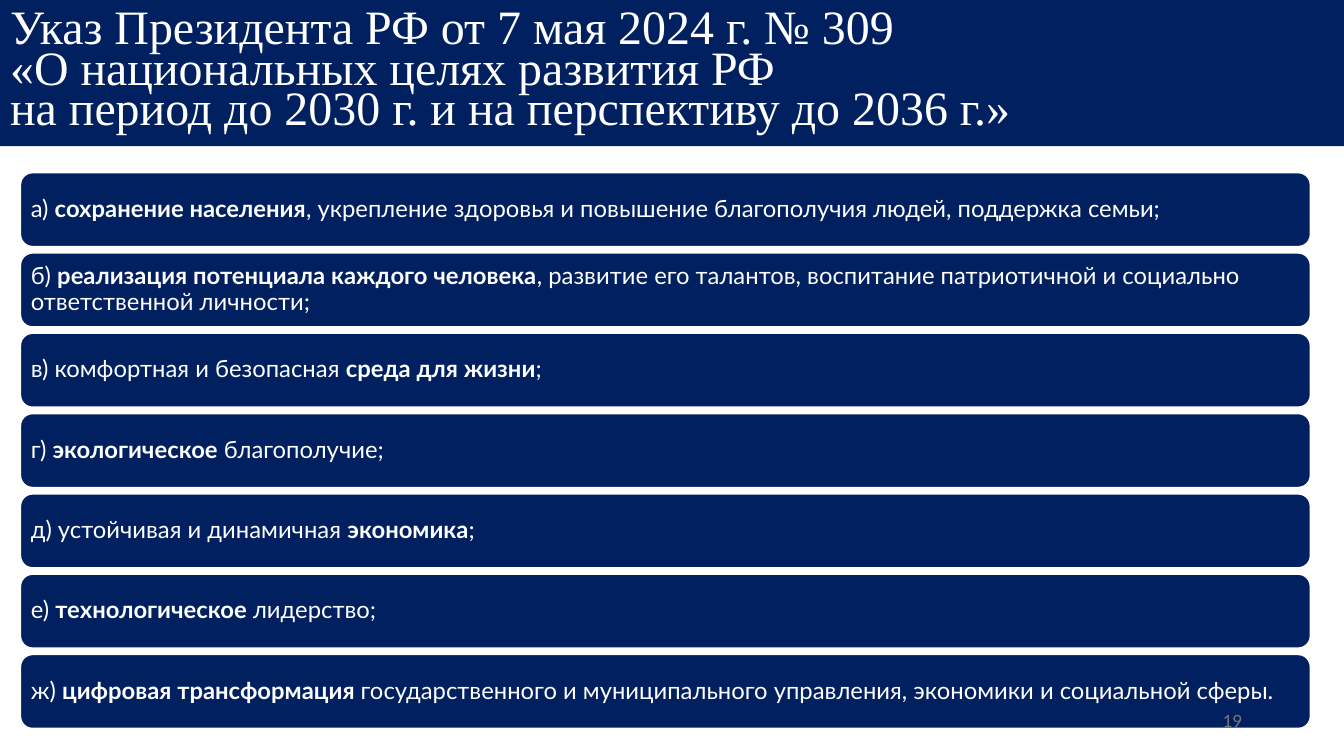
"""Build the slide listing the national development goals of decree No. 309."""
from copy import deepcopy

from pptx import Presentation
from pptx.dml.color import RGBColor
from pptx.enum.shapes import MSO_SHAPE
from pptx.enum.text import MSO_ANCHOR, MSO_AUTO_SIZE, PP_ALIGN
from pptx.util import Inches, Pt

DECREE = (
    "Указ Президента РФ от 7 мая 2024 г. № 309",
    "«О национальных целях развития РФ",
    "на период до 2030 г. и на перспективу до 2036 г.»",
)
GOALS = [
    ("а) ", "сохранение населения",
     ", укрепление здоровья и повышение благополучия людей, поддержка семьи;"),
    ("б) ", "реализация потенциала каждого человека",
     ", развитие его талантов, воспитание патриотичной и социально ответственной личности;"),
    ("в) комфортная и безопасная ", "среда для жизни", ";"),
    ("г) ", "экологическое", " благополучие;"),
    ("д) устойчивая и динамичная ", "экономика", ";"),
    ("е) ", "технологическое", " лидерство;"),
    ("ж) ", "цифровая трансформация ",
     "государственного и муниципального управления, экономики и социальной сферы."),
]
PAGE_NUMBER = "19"

NAVY = RGBColor(0x00, 0x20, 0x60)
WHITE = RGBColor(0xFF, 0xFF, 0xFF)
GREY = RGBColor(0x79, 0x79, 0x79)
ROUNDED = MSO_SHAPE.ROUNDED_RECTANGLE
MIDDLE = MSO_ANCHOR.MIDDLE
NO_FIT = MSO_AUTO_SIZE.NONE
LEFT, RIGHT = PP_ALIGN.LEFT, PP_ALIGN.RIGHT

SLIDE_W, SLIDE_H = 13.33, 7.5
DECREE_H = 1.45
GOAL_X, GOAL_W, GOAL_H = 0.2, 12.8, 0.74
FIRST_GOAL_Y, LAST_GOAL_Y = 1.71, 6.49
GOAL_STEP = (LAST_GOAL_Y - FIRST_GOAL_Y) / (len(GOALS) - 1)

FRAME = {"word_wrap": True, "auto_size": NO_FIT, "vertical_anchor": MIDDLE}
GOAL_FRAME = FRAME | {
    f"margin_{side}": Inches(0.07) for side in ("left", "top", "right", "bottom")
}
DECREE_FONT = {"name": "Times New Roman", "size": Pt(34.2)}
GOAL_FONT = {"name": "Lato", "size": Pt(17)}
PAGE_FONT = {"name": "Lato", "size": Pt(12)}


def apply(target, values):
    """Set every attribute in values on target."""
    for attribute, value in values.items():
        setattr(target, attribute, value)


def style_run(run, font, color, bold=False):
    """Format one run."""
    apply(run.font, font | {"bold": bold})
    run.font.color.rgb = color


def fill_navy(shape):
    """Give a shape the navy fill."""
    shape.fill.solid()
    shape.fill.fore_color.rgb = NAVY


def add_decree(slide):
    """Place the decree name in the title band."""
    decree = slide.shapes.title
    apply(decree, {"left": 0, "top": 0,
                   "width": Inches(SLIDE_W), "height": Inches(DECREE_H)})
    fill_navy(decree)
    apply(decree.text_frame, FRAME)
    paragraph = decree.text_frame.paragraphs[0]
    paragraph.text = "\v".join(DECREE)
    apply(paragraph, {"alignment": LEFT, "line_spacing": 0.7})
    for run in paragraph.runs:
        style_run(run, DECREE_FONT, WHITE)
    for line_break in paragraph._p.br_lst if hasattr(paragraph._p, "br_lst") else \
            paragraph._p.xpath("a:br"):
        line_break.insert(0, deepcopy(paragraph.runs[0]._r.rPr))


def add_goal(slide, index, parts):
    """Draw one goal bar whose middle part is bold."""
    goal = slide.shapes.add_shape(
        ROUNDED, Inches(GOAL_X), Inches(FIRST_GOAL_Y + index * GOAL_STEP),
        Inches(GOAL_W), Inches(GOAL_H))
    goal.shadow.inherit = False
    fill_navy(goal)
    goal.line.color.rgb = WHITE
    goal.line.width = Pt(1.5)
    apply(goal.text_frame, GOAL_FRAME)
    paragraph = goal.text_frame.paragraphs[0]
    apply(paragraph, {"alignment": LEFT, "line_spacing": 0.9})
    for text, bold in zip(parts, (False, True, False)):
        run = paragraph.add_run()
        run.text = text
        style_run(run, GOAL_FONT, WHITE, bold)


def add_page_number(slide):
    """Write the page number at the lower right."""
    page = slide.shapes.add_textbox(Inches(9.42), Inches(6.95), Inches(3), Inches(0.4))
    apply(page.text_frame, FRAME)
    paragraph = page.text_frame.paragraphs[0]
    paragraph.alignment = RIGHT
    run = paragraph.add_run()
    run.text = PAGE_NUMBER
    style_run(run, PAGE_FONT, GREY)


def main():
    """Assemble and save the slide."""
    deck = Presentation()
    apply(deck, {"slide_width": Inches(SLIDE_W), "slide_height": Inches(SLIDE_H)})
    slide = deck.slides.add_slide(deck.slide_layouts[5])
    add_decree(slide)
    for index, parts in enumerate(GOALS):
        add_goal(slide, index, parts)
    add_page_number(slide)
    deck.save("out.pptx")


if __name__ == "__main__":
    main()
